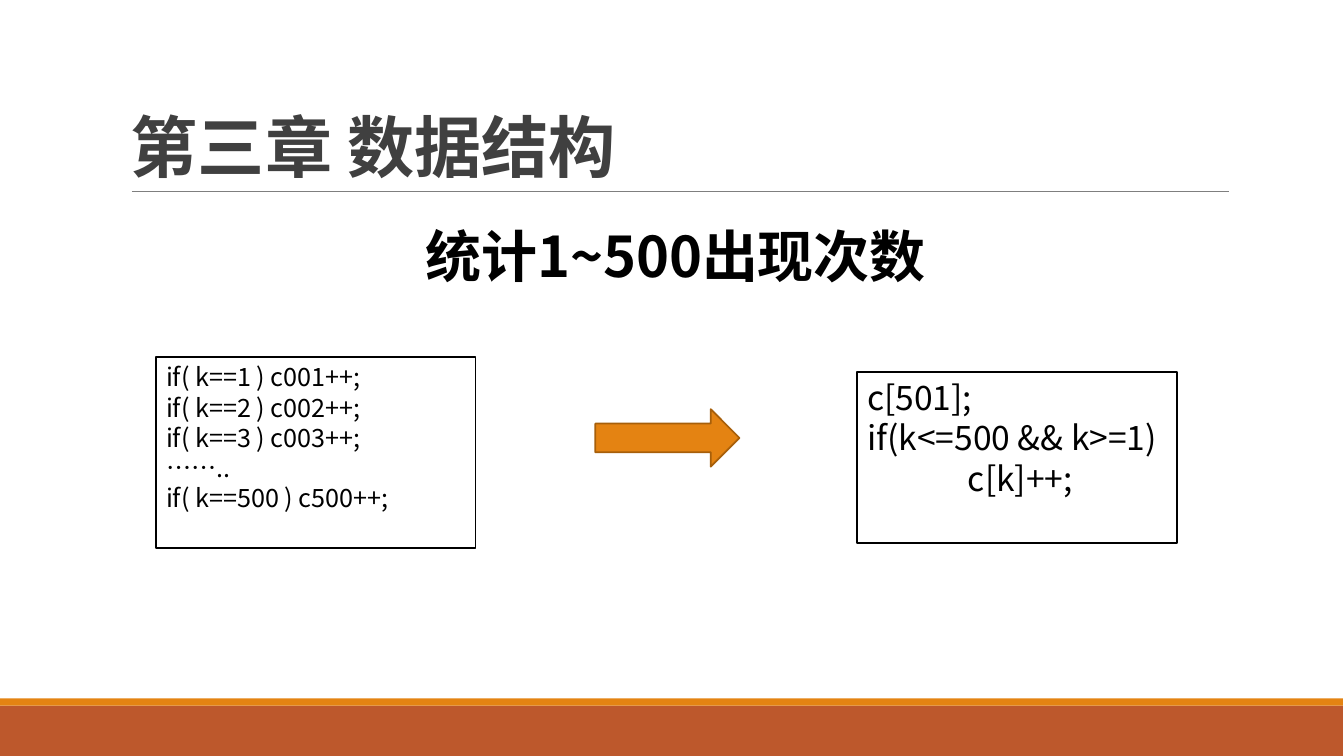
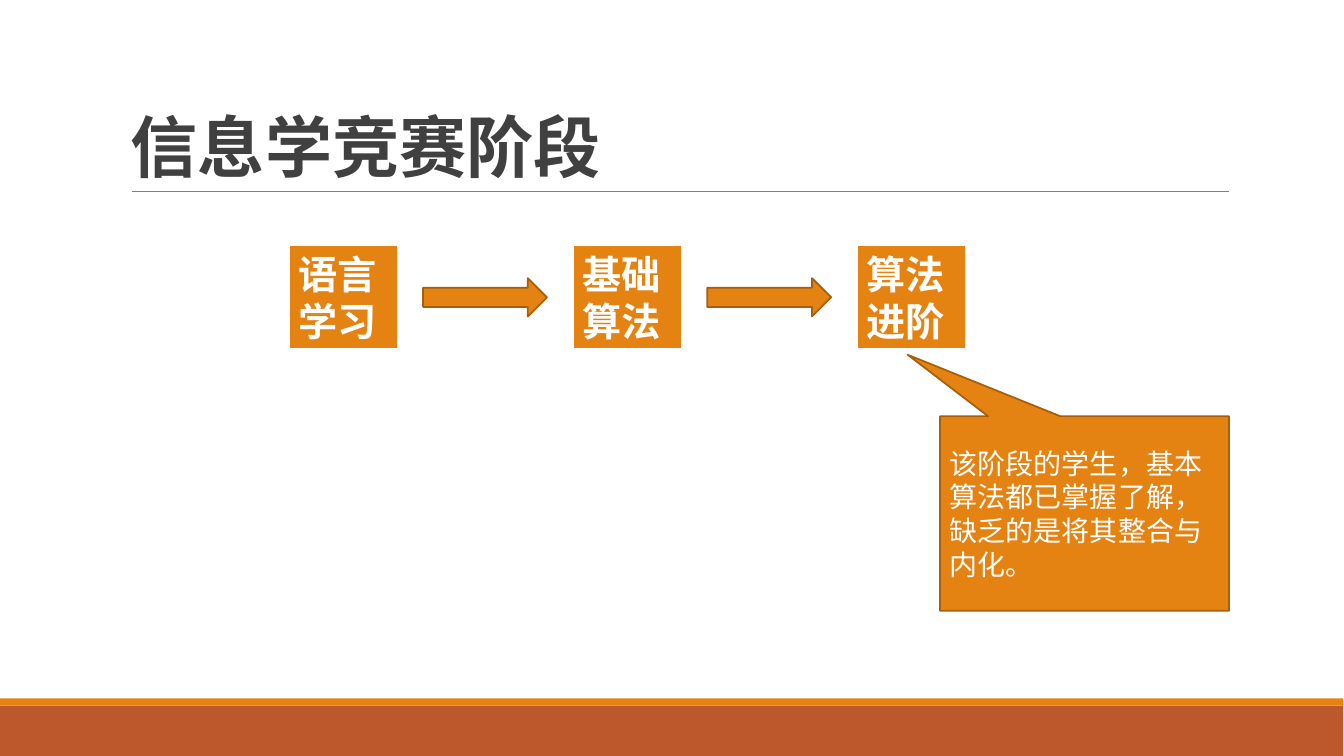
import pptx
import pptx.dml.color
import pptx.enum.shapes
import pptx.enum.text
import pptx.oxml
import pptx.oxml.ns
import pptx.util

RGB = pptx.dml.color.RGBColor
SHAPE = pptx.enum.shapes.MSO_SHAPE
ANCHOR = pptx.enum.text.MSO_ANCHOR
ALIGN = pptx.enum.text.PP_ALIGN

ORANGE = RGB(0xE4, 0x83, 0x12)
RUST = RGB(0xBD, 0x58, 0x2C)
BROWN = RGB(0xA7, 0x5F, 0x0A)
CHARCOAL = RGB(0x40, 0x40, 0x40)
GRAY = RGB(0x7F, 0x7F, 0x7F)
BLACK = RGB(0, 0, 0)
WHITE = RGB(0xFF, 0xFF, 0xFF)

FONT = "Noto Sans CJK SC"
EMU_PER_PX = 9144
TAB = 100


def px(*lengths):
    """Turn px lengths into a list of EMU lengths."""
    return [pptx.util.Emu(n * EMU_PER_PX) for n in lengths]


def add_xml(parent, tag, **attributes):
    """Append a drawing element to a parent and return it."""
    child = pptx.oxml.parse_xml(f"<a:{tag} {pptx.oxml.ns.nsdecls('a')}/>")
    for name, value in attributes.items():
        child.set(name, str(value))
    parent.append(child)
    return child


def write(sp, lines, size, color, bold=False, align=ALIGN.LEFT, anchor=ANCHOR.TOP, spacing=None):
    """Fill a shape with one paragraph per line in a single style."""
    tf = sp.text_frame
    tf.word_wrap = True
    tf.auto_size = pptx.enum.text.MSO_AUTO_SIZE.NONE
    tf.vertical_anchor = anchor
    for i, line in enumerate(lines):
        p = tf.add_paragraph() if i else tf.paragraphs[0]
        p.add_run().text = line
        p.alignment = align
        if spacing:
            p.line_spacing = spacing
        pPr = p._p.get_or_add_pPr()
        if "\t" in line:
            add_xml(add_xml(pPr, "tabLst"), "tab", pos=TAB * EMU_PER_PX, algn="l")
        p.font.size = pptx.util.Pt(size)
        p.font.bold = bold
        p.font.color.rgb = color
        p.font.name = FONT
        add_xml(pPr.find(pptx.oxml.ns.qn("a:defRPr")), "ea", typeface=FONT)


def add_block(s, kind, box, fill, line=None, width=1.25):
    """Add a flat preset shape, outlined when a line colour is given."""
    sp = s.shapes.add_shape(kind, *px(*box))
    sp.shadow.inherit = False
    sp.fill.solid()
    sp.fill.fore_color.rgb = fill
    if line is None:
        sp.line.fill.background()
    else:
        sp.line.color.rgb = line
        sp.line.width = pptx.util.Pt(width)
    return sp


def add_arrow(s, box):
    """Add an orange arrow pointing right."""
    add_block(s, SHAPE.RIGHT_ARROW, box, ORANGE, BROWN)


def add_code(s, box, lines, size):
    """Add a white code panel with a black outline."""
    write(add_block(s, SHAPE.RECTANGLE, box, WHITE, BLACK), lines, size, BLACK)


def add_base(prs, title):
    """Add a slide with the shared bands, rule and title."""
    s = prs.slides.add_slide(prs.slide_layouts[6])
    add_block(s, SHAPE.RECTANGLE, (0, 700, 1333, 50), RUST)
    add_block(s, SHAPE.RECTANGLE, (0, 693, 1333, 7), ORANGE)
    rule = s.shapes.add_connector(pptx.enum.shapes.MSO_CONNECTOR.STRAIGHT, *px(131, 190, 1220, 190))
    rule.line.color.rgb = GRAY
    rule.line.width = pptx.util.Pt(0.5)
    add_xml(rule._element.spPr, "effectLst")
    sp = s.shapes.add_textbox(*px(120, 31, 1100, 159))
    write(sp, [title], 48, CHARCOAL, bold=True, anchor=ANCHOR.BOTTOM, spacing=0.85)
    return s


def add_steps(s, box, pitch, names):
    """Place equal step boxes in a row from the first box, with arrows between."""
    left, top, width, height = box
    arrow_gap, arrow_height = 25, 38
    arrow_top = top + (height - arrow_height) // 2
    for i, name in enumerate(names):
        x = left + i * pitch
        sp = add_block(s, SHAPE.RECTANGLE, (x, top, width, height), ORANGE, WHITE, 2)
        write(sp, [name], 28, WHITE, bold=True)
        if i < len(names) - 1:
            arrow_width = pitch - width - 2 * arrow_gap
            add_arrow(s, (x + width + arrow_gap, arrow_top, arrow_width, arrow_height))


def add_callout(s, box, tip, text):
    """Add a callout whose pointer ends at the tip."""
    left, top, width, height = box
    sp = add_block(s, SHAPE.RECTANGULAR_CALLOUT, box, ORANGE, BROWN)
    sp.adjustments[0] = (tip[0] - left) / width - 0.5
    sp.adjustments[1] = (tip[1] - top) / height - 0.5
    write(sp, [text], 20, WHITE, anchor=ANCHOR.MIDDLE)


def build_counting(prs):
    """Build the slide that replaces many counters by one array."""
    s = add_base(prs, "第三章 数据结构")
    heading = s.shapes.add_textbox(*px(356, 215, 629, 77))
    write(heading, ["统计1~500出现次数"], 40, BLACK, bold=True, align=ALIGN.CENTER)
    counters = [
        "if( k==1 ) c001++;",
        "if( k==2 ) c002++;",
        "if( k==3 ) c003++;",
        "……..",
        "if( k==500 ) c500++;",
    ]
    add_code(s, (155, 354, 317, 190), counters, 18)
    add_arrow(s, (591, 406, 143, 57))
    add_code(s, (851, 369, 317, 170), ["c[501];", "if(k<=500 && k>=1)", "\tc[k]++;"], 24)


def build_stages(prs):
    """Build the slide of contest training stages."""
    s = add_base(prs, "信息学竞赛阶段")
    add_steps(s, (286, 243, 109, 104), 282, ["语言学习", "基础算法", "算法进阶"])
    note = "该阶段的学生，基本算法都已掌握了解，缺乏的是将其整合与内化。"
    add_callout(s, (933, 413, 287, 193), (901, 352), note)


def main():
    """Build and save the presentation."""
    prs = pptx.Presentation()
    prs.slide_width, prs.slide_height = px(1334, 750)
    build_counting(prs)
    build_stages(prs)
    prs.save("out.pptx")


if __name__ == "__main__":
    main()
